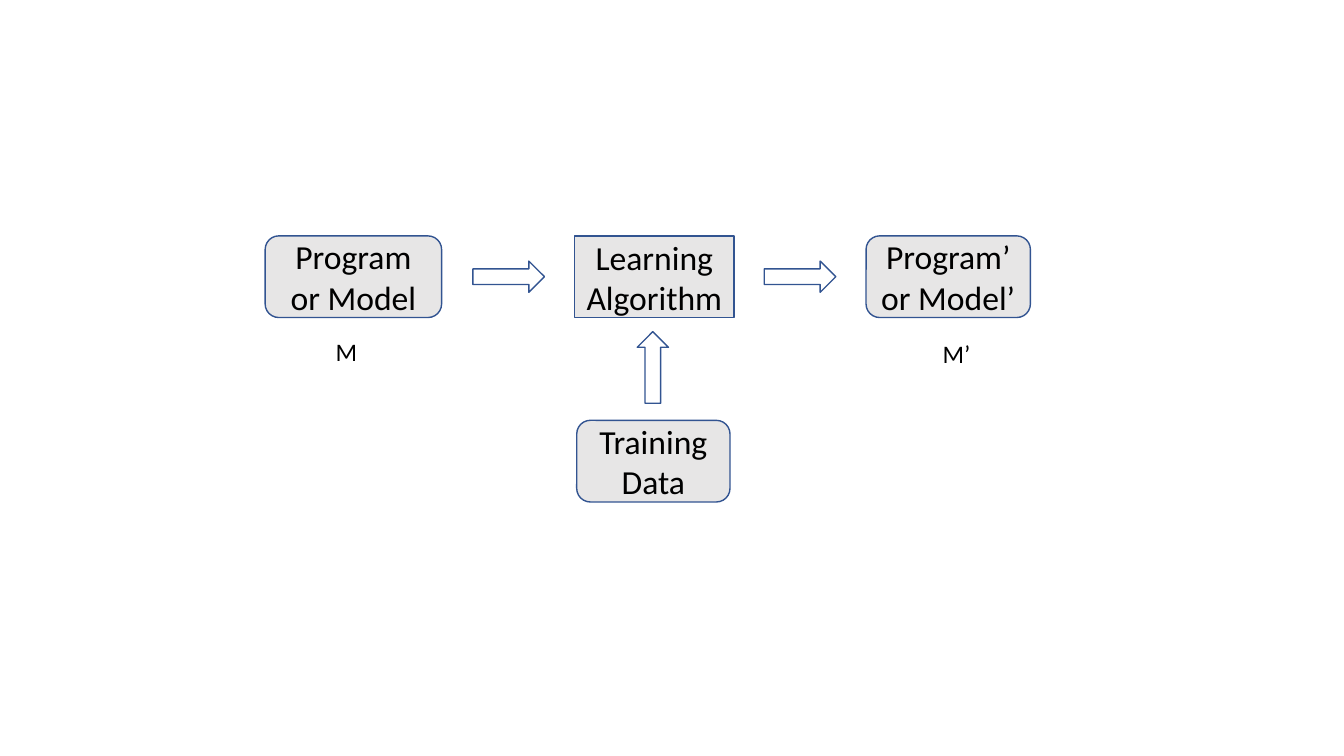
"""Draws how a learning algorithm turns a model and data into a new model."""
from pptx import Presentation
from pptx.dml.color import RGBColor
from pptx.enum.shapes import MSO_SHAPE
from pptx.enum.text import MSO_ANCHOR, PP_ALIGN
from pptx.util import Inches, Pt

ROUND = MSO_SHAPE.ROUNDED_RECTANGLE
RECT = MSO_SHAPE.RECTANGLE
ARROW = MSO_SHAPE.RIGHT_ARROW
MIDDLE, TOP = MSO_ANCHOR.MIDDLE, MSO_ANCHOR.TOP
CENTER, LEFT = PP_ALIGN.CENTER, PP_ALIGN.LEFT
COLORS = {"box": "E7E6E6", "arrow": "FFFFFF", "line": "325491", "text": "000000"}


def color(name):
    return RGBColor.from_string(COLORS[name])


def write(shape, text, size=24, align=CENTER, anchor=MIDDLE):
    frame = shape.text_frame
    frame.word_wrap = True
    frame.vertical_anchor = anchor
    para = frame.paragraphs[0]
    para.alignment = align
    run = para.add_run()
    run.text = text
    run.font.name = "Calibri"
    run.font.size = Pt(size)
    run.font.color.rgb = color("text")


class Board:
    def __init__(self, slide):
        self.slide = slide

    def shape(self, kind, fill, *area):
        shape = self.slide.shapes.add_shape(kind, *map(Inches, area))
        shape.shadow.inherit = False
        shape.fill.solid()
        shape.fill.fore_color.rgb = color(fill)
        shape.line.color.rgb = color("line")
        shape.line.width = Pt(1)
        return shape

    def box(self, text, left, top, width, kind=ROUND):
        write(self.shape(kind, "box", left, top, width, 0.81), text)

    def arrow(self, left, top, turn=0):
        self.shape(ARROW, "arrow", left, top, 0.71, 0.31).rotation = turn

    def label(self, text, left, top):
        area = map(Inches, (left, top, 0.55, 0.4))
        write(self.slide.shapes.add_textbox(*area), text, size=18, align=LEFT, anchor=TOP)


def main():
    deck = Presentation()
    deck.slide_width, deck.slide_height = Inches(13.33), Inches(7.5)
    board = Board(deck.slides.add_slide(deck.slide_layouts[6]))

    row = 2.34
    board.box("Program or Model", 2.63, row, 1.75)
    board.box("Training Data", 5.72, 4.17, 1.52)
    board.box("Learning Algorithm", 5.7, row, 1.58, kind=RECT)
    board.box("Program’ or Model’", 8.59, row, 1.63)

    for left in (4.69, 7.58):
        board.arrow(left, row + 0.25)
    board.arrow(6.12, 3.49, turn=270)

    board.label("M", 3.23, 3.29)
    board.label("M’", 9.25, 3.31)

    deck.save("out.pptx")


if __name__ == "__main__":
    main()
